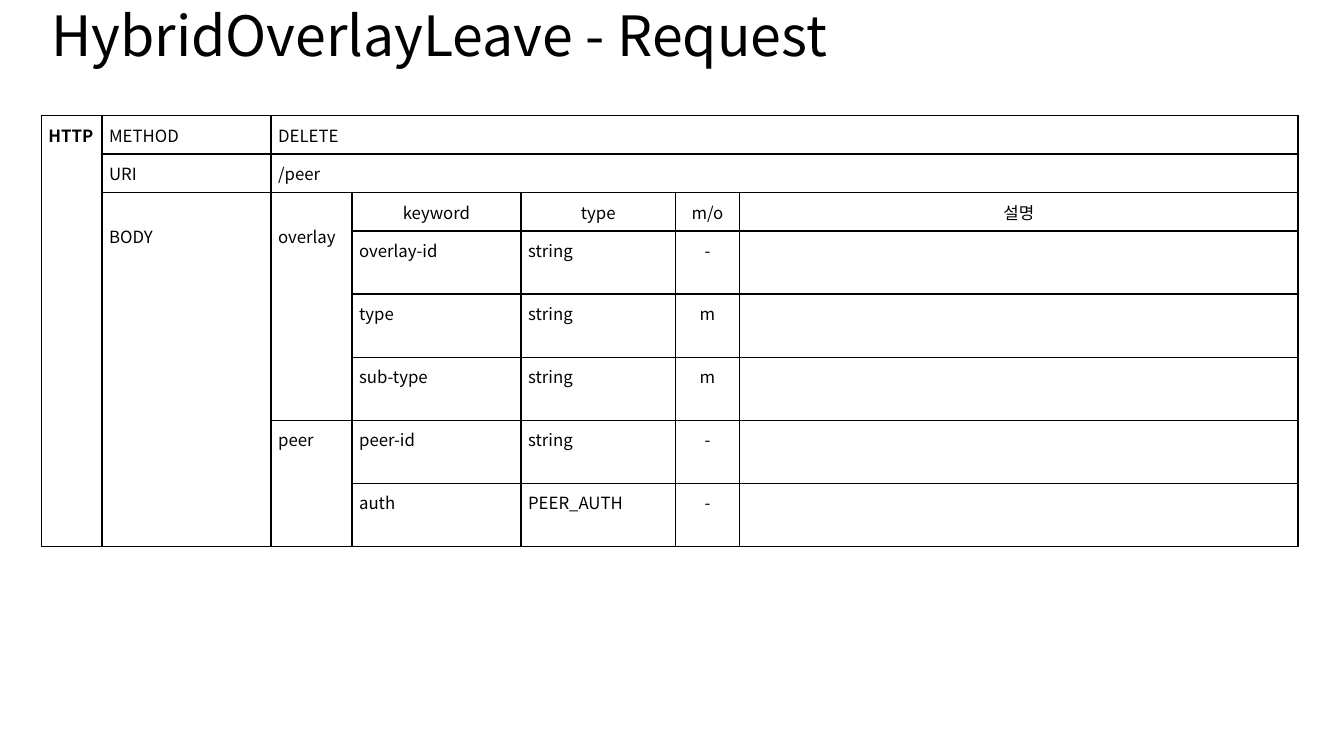
from dataclasses import dataclass

from lxml.etree import SubElement
from pptx import Presentation
from pptx.dml.color import RGBColor
from pptx.enum.text import MSO_ANCHOR, PP_ALIGN
from pptx.oxml import parse_xml
from pptx.oxml.ns import nsdecls, qn
from pptx.slide import Slide
from pptx.table import Table, _Cell
from pptx.text.text import _Paragraph
from pptx.util import Cm, Pt

COLORS = {"text": "000000", "border": "000000"}
FONT = "Noto Sans CJK KR"
LEFT, WIDTH = 1.04, 31.67
COLUMN_WIDTHS = [1.53, 4.26, 2.04, 4.26, 3.89, 1.62, 14.07]
ROW_HEIGHTS = [0.97] * 3 + [1.59] * 5
CELL_MARGIN = 0.18
LINE_HEIGHT = 0.61


@dataclass(frozen=True)
class Entry:
    """A table cell with text, its spans and the lines it is lowered by."""

    row: int
    column: int
    text: str
    row_span: int = 1
    column_span: int = 1
    centered: bool = False
    bold: bool = False
    lowered_lines: int = 0


@dataclass(frozen=True)
class Field:
    """One keyword of the request body."""

    keyword: str
    type_name: str
    mandatory: str


HEADINGS = ["keyword", "type", "m/o", "설명"]
FIELDS = [
    Field("overlay-id", "string", "-"),
    Field("type", "string", "m"),
    Field("sub-type", "string", "m"),
    Field("peer-id", "string", "-"),
    Field("auth", "PEER_AUTH", "-"),
]
GROUPS = [
    Entry(0, 0, "HTTP", row_span=8, bold=True),
    Entry(0, 1, "METHOD"),
    Entry(0, 2, "DELETE", column_span=5),
    Entry(1, 1, "URI"),
    Entry(1, 2, "/peer", column_span=5),
    Entry(2, 1, "BODY", row_span=6, lowered_lines=1),
    Entry(2, 2, "overlay", row_span=4, lowered_lines=1),
    Entry(6, 2, "peer", row_span=2),
]


def style_paragraph(paragraph: _Paragraph, size: float, bold: bool = False) -> None:
    """Set the font of a paragraph for Latin and Korean text."""
    font = paragraph.font
    font.size, font.bold, font.name = Pt(size), bold, FONT
    font.color.rgb = RGBColor.from_string(COLORS["text"])
    SubElement(font._element, qn("a:ea"), typeface=FONT)


def style_cell(cell: _Cell) -> None:
    """Give a cell no fill, narrow margins and a border on each side."""
    cell.fill.background()
    cell.margin_left = cell.margin_right = Cm(CELL_MARGIN)
    cell.margin_top = cell.margin_bottom = Cm(CELL_MARGIN)
    properties = cell._tc.get_or_add_tcPr()
    for position, side in enumerate("LRTB"):
        properties.insert(position, parse_xml(
            f'<a:ln{side} {nsdecls("a")} w="{Pt(1)}"><a:solidFill>'
            f'<a:srgbClr val="{COLORS["border"]}"/></a:solidFill></a:ln{side}>'))


def fill_entry(table: Table, entry: Entry) -> None:
    """Write an entry into its cell and merge the cells it spans."""
    cell = table.cell(entry.row, entry.column)
    if entry.row_span > 1 or entry.column_span > 1:
        cell.merge(table.cell(entry.row + entry.row_span - 1,
                              entry.column + entry.column_span - 1))
    cell.margin_top = Cm(CELL_MARGIN + entry.lowered_lines * LINE_HEIGHT)
    paragraph = cell.text_frame.paragraphs[0]
    paragraph.text = entry.text
    paragraph.alignment = PP_ALIGN.CENTER if entry.centered else PP_ALIGN.LEFT
    style_paragraph(paragraph, 12, entry.bold)


def body_entries() -> list[Entry]:
    """Lay out the headings and fields of the request body."""
    entries = [Entry(2, column, heading, centered=True)
               for column, heading in enumerate(HEADINGS, start=3)]
    for row, field in enumerate(FIELDS, start=3):
        entries += [Entry(row, 3, field.keyword),
                    Entry(row, 4, field.type_name),
                    Entry(row, 5, field.mandatory, centered=True),
                    Entry(row, 6, "")]
    return entries


def add_title(slide: Slide, text: str) -> None:
    """Add the slide title."""
    shape = slide.shapes.add_textbox(Cm(LEFT), Cm(0.05), Cm(WIDTH), Cm(1.83))
    frame = shape.text_frame
    frame.word_wrap = True
    frame.vertical_anchor = MSO_ANCHOR.MIDDLE
    paragraph = frame.paragraphs[0]
    paragraph.text = text
    paragraph.line_spacing = 0.9
    style_paragraph(paragraph, 39.6)


def add_request_table(slide: Slide) -> None:
    """Add the table that describes the HTTP request."""
    shape = slide.shapes.add_table(len(ROW_HEIGHTS), len(COLUMN_WIDTHS), Cm(LEFT),
                                   Cm(2.91), Cm(WIDTH), Cm(sum(ROW_HEIGHTS)))
    table = shape.table
    table.first_row = table.horz_banding = False
    for column, width in zip(table.columns, COLUMN_WIDTHS):
        column.width = Cm(width)
    for row, height in zip(table.rows, ROW_HEIGHTS):
        row.height = Cm(height)
    for cell in table.iter_cells():
        style_cell(cell)
    for entry in GROUPS + body_entries():
        fill_entry(table, entry)


def main() -> None:
    """Build and save the presentation."""
    presentation = Presentation()
    presentation.slide_width, presentation.slide_height = Cm(33.87), Cm(19.05)
    slide = presentation.slides.add_slide(presentation.slide_layouts[6])
    add_title(slide, "HybridOverlayLeave - Request")
    add_request_table(slide)
    presentation.save("out.pptx")


main()
